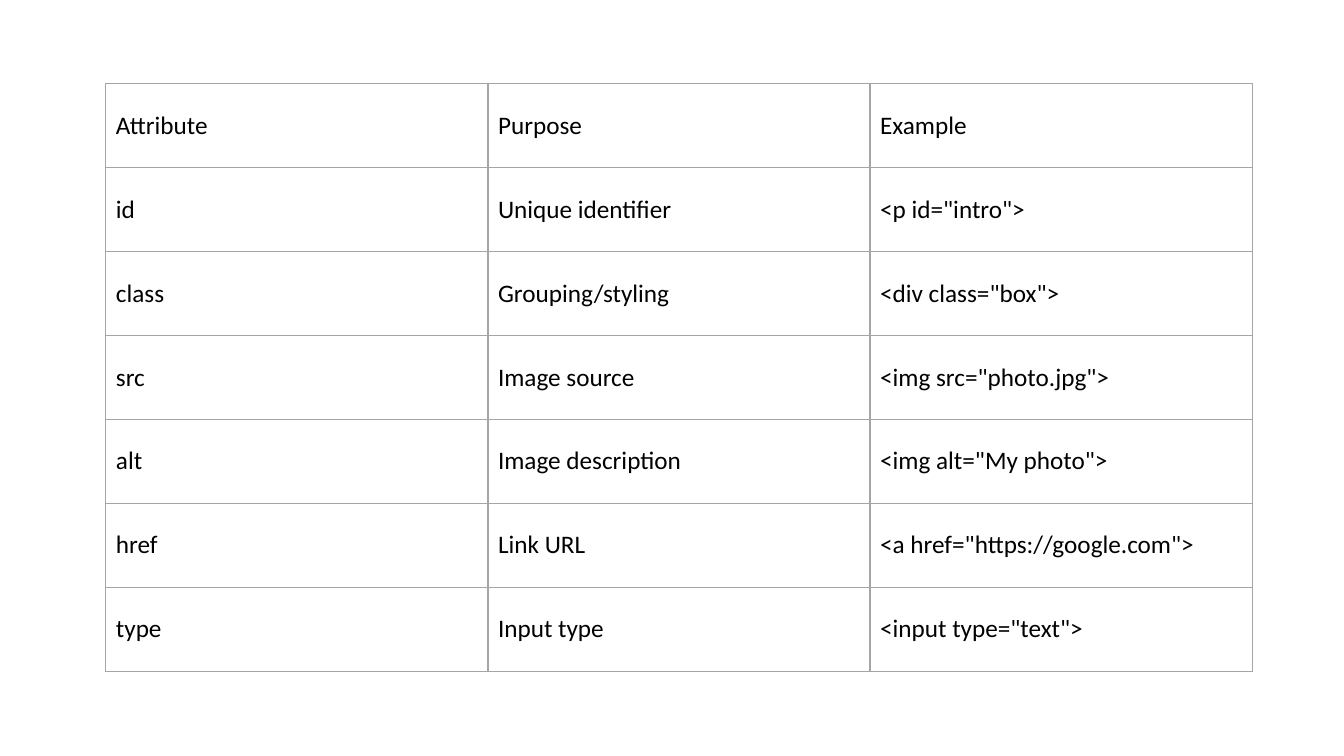
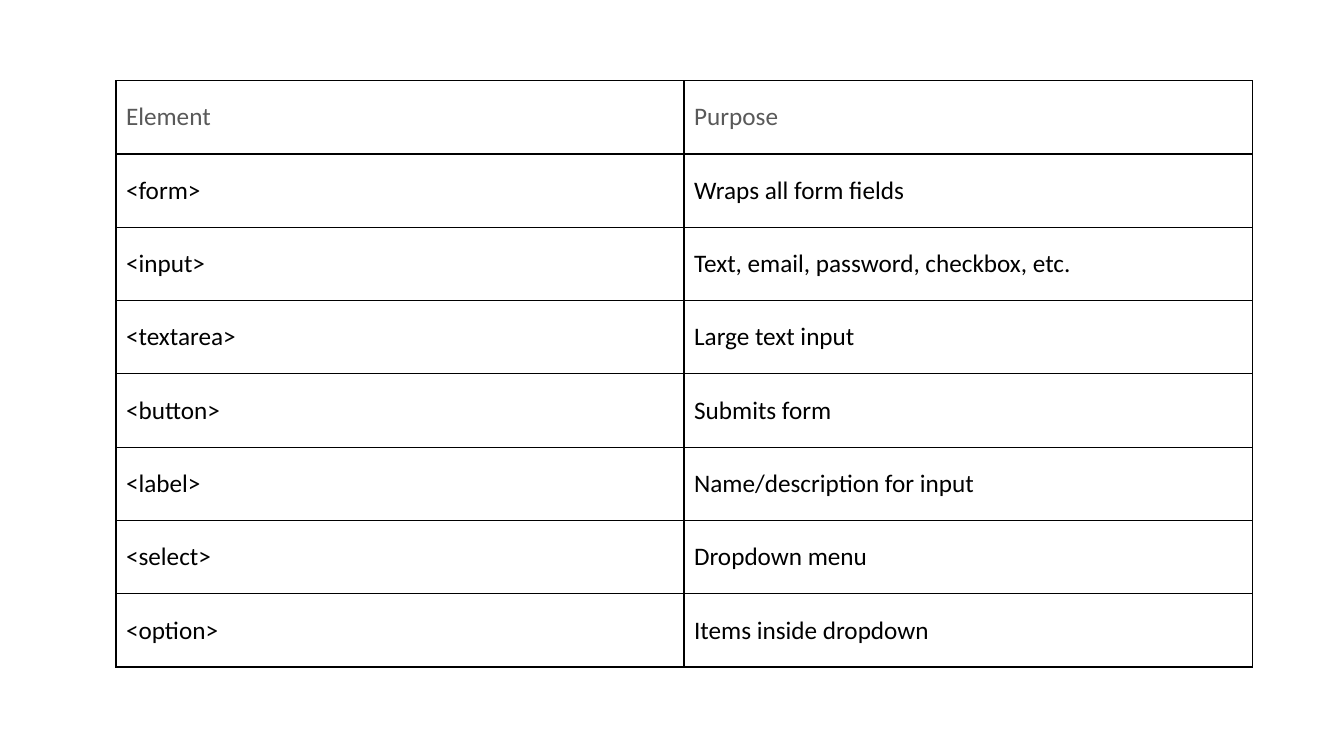
from lxml import etree
from pptx import Presentation
from pptx.dml.color import RGBColor
from pptx.enum.text import MSO_ANCHOR
from pptx.oxml.ns import qn
from pptx.util import Inches, Pt

MIDDLE = MSO_ANCHOR.MIDDLE
BLANK = 6
FONT = "Calibri"
SIZE = Pt(18)
LINE = Pt(1)
RIGHT = 12.42
COLORS = {"text": "000000", "muted": "595959", "gray": "A5A5A5", "black": "000000"}

TABLES = [
    {
        "left": 1.05, "top": 0.83, "height": 5.83, "head": "text", "line": "gray",
        "rows": [
            ("Attribute", "Purpose", "Example"),
            ("id", "Unique identifier", '<p id="intro">'),
            ("class", "Grouping/styling", '<div class="box">'),
            ("src", "Image source", '<img src="photo.jpg">'),
            ("alt", "Image description", '<img alt="My photo">'),
            ("href", "Link URL", '<a href="https://google.com">'),
            ("type", "Input type", '<input type="text">'),
        ],
    },
    {
        "left": 1.15, "top": 0.8, "height": 5.82, "head": "muted", "line": "black",
        "rows": [
            ("Element", "Purpose"),
            ("<form>", "Wraps all form fields"),
            ("<input>", "Text, email, password, checkbox, etc."),
            ("<textarea>", "Large text input"),
            ("<button>", "Submits form"),
            ("<label>", "Name/description for input"),
            ("<select>", "Dropdown menu"),
            ("<option>", "Items inside dropdown"),
        ],
    },
]


def border(cell, color):
    props = cell._tc.get_or_add_tcPr()
    for side in ("a:lnL", "a:lnR", "a:lnT", "a:lnB"):
        line = etree.SubElement(props, qn(side), w=str(LINE))
        fill = etree.SubElement(line, qn("a:solidFill"))
        etree.SubElement(fill, qn("a:srgbClr"), val=color)


deck = Presentation()
deck.slide_width = Inches(13.33)
deck.slide_height = Inches(7.5)

for data in TABLES:
    slide = deck.slides.add_slide(deck.slide_layouts[BLANK])
    rows = data["rows"]
    frame = slide.shapes.add_table(
        len(rows), len(rows[0]), Inches(data["left"]), Inches(data["top"]),
        Inches(RIGHT - data["left"]), Inches(data["height"]))
    table = frame.table
    table.first_row = False
    table.horz_banding = False
    for r, row in enumerate(rows):
        color = COLORS["text" if r else data["head"]]
        for c, text in enumerate(row):
            cell = table.cell(r, c)
            border(cell, COLORS[data["line"]])
            cell.fill.background()
            cell.vertical_anchor = MIDDLE
            cell.text_frame.text = text
            font = cell.text_frame.paragraphs[0].runs[0].font
            font.name = FONT
            font.size = SIZE
            font.color.rgb = RGBColor.from_string(color)

deck.save("out.pptx")
